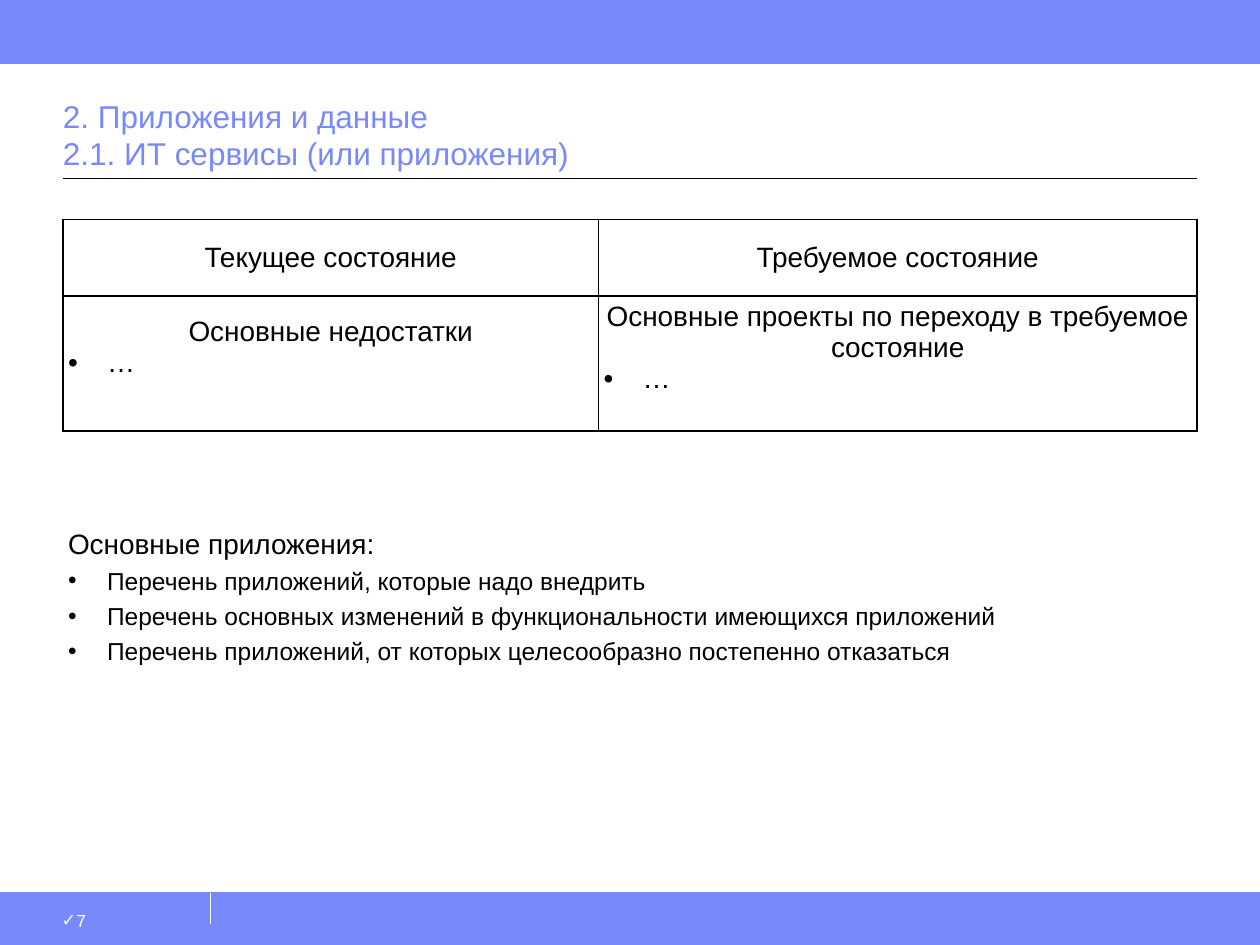
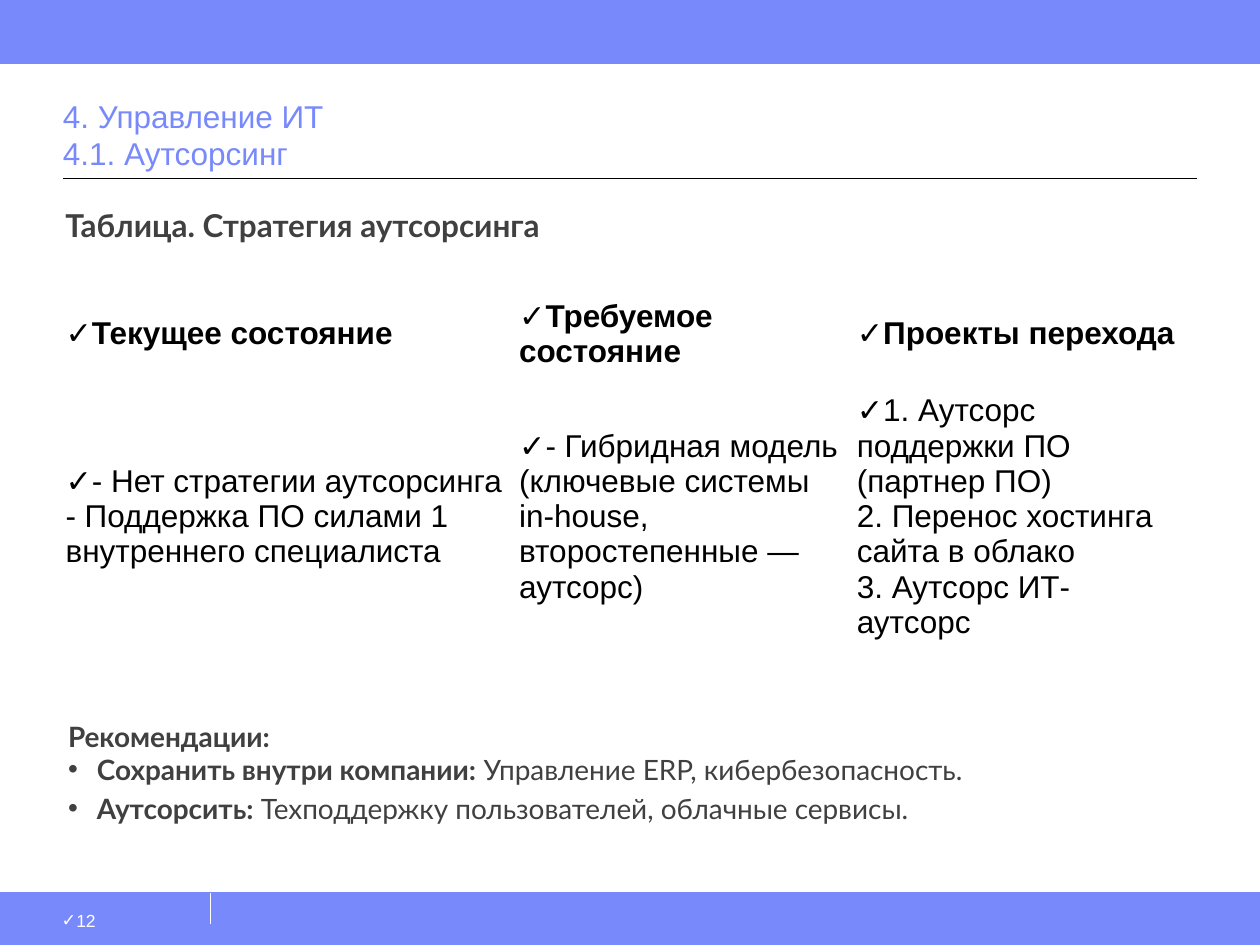
from dataclasses import dataclass
from typing import Optional

from lxml.etree import SubElement
from pptx import Presentation
from pptx.dml.color import RGBColor
from pptx.enum.shapes import MSO_CONNECTOR, MSO_SHAPE
from pptx.enum.text import MSO_ANCHOR, MSO_AUTO_SIZE, PP_ALIGN
from pptx.oxml.ns import qn
from pptx.util import Emu, Inches, Pt

COLORS = {"accent": "7889FB", "paper": "FFFFFF", "ink": "000000", "soft": "404040"}
SLIDE_W, SLIDE_H = Inches(10), Inches(7.5)
COLUMNS, ROWS = 20, 18
MARGIN, CONTENT = 1, 18  # in grid columns
FOOTER_ROW = 17
RULE_ROW = 3.4
TIGHT = (0.04, 0.04, 0.04, 0.04)


@dataclass(frozen=True)
class Style:
    size: float
    font: str = "Arial"
    color: str = "ink"


@dataclass(frozen=True)
class Area:
    """A place on the grid, in columns and rows."""
    col: float
    row: float
    cols: float
    rows: float

    def box(self) -> tuple:
        return across(self.col), down(self.row), across(self.cols), down(self.rows)


@dataclass(frozen=True)
class Span:
    text: str
    bold: bool = False


@dataclass(frozen=True)
class Para:
    spans: tuple
    style: Style
    bullet: str = ""
    indent: float = 0  # inches
    align: Optional[PP_ALIGN] = None
    leading: Optional[float] = None
    before: float = 0


@dataclass(frozen=True)
class Cell:
    paras: list
    insets: tuple


@dataclass(frozen=True)
class Rule:
    start: tuple
    end: tuple
    color: str
    width: float


TITLE = Style(18, color="accent")
PAGE = Style(10, color="paper")
BODY = Style(16)
LIST = Style(14)
STRATEGY = Style(18)
CAPTION = Style(18, "Lato", "soft")
ADVICE = Style(16, "Lato", "soft")

BANDS = (Area(0, FOOTER_ROW, COLUMNS, 1), Area(0, 0, COLUMNS, 1.2))
RULES = (
    Rule((3.34, 17.6), (3.34, FOOTER_ROW), "paper", 0.75),
    Rule((0, 1), (COLUMNS, 1), "accent", 0.5),
    Rule((0, FOOTER_ROW), (COLUMNS, FOOTER_ROW), "accent", 0.5),
    Rule((MARGIN, RULE_ROW), (MARGIN + CONTENT, RULE_ROW), "ink", 0.75),
)


def across(cols: float) -> Emu:
    return Emu(round(SLIDE_W * cols / COLUMNS))


def down(rows: float) -> Emu:
    return Emu(round(SLIDE_H * rows / ROWS))


def rgb(name: str) -> RGBColor:
    return RGBColor.from_string(COLORS[name])


def plain(text: str, style: Style, **options) -> Para:
    return Para((Span(text),), style, **options)


# Text
def write(frame, paras: list) -> None:
    for number, para in enumerate(paras):
        line = frame.add_paragraph() if number else frame.paragraphs[0]
        if para.bullet:
            props = line._p.get_or_add_pPr()
            props.set("marL", str(Inches(para.indent)))
            props.set("indent", str(-Inches(para.indent)))
            SubElement(props, qn("a:buFont")).set("typeface", "Arial")
            SubElement(props, qn("a:buChar")).set("char", para.bullet)
        if para.align is not None:
            line.alignment = para.align
        if para.leading:
            line.line_spacing = para.leading
        if para.before:
            line.space_before = Pt(para.before)
        for span in para.spans:
            for part, text in enumerate(span.text.split("\n")):
                if part:
                    line.add_line_break()
                run = line.add_run()
                run.text = text
                run.font.size = Pt(para.style.size)
                run.font.name = para.style.font
                run.font.bold = span.bold
                run.font.color.rgb = rgb(para.style.color)


def set_insets(target, insets: tuple) -> None:
    (target.margin_left, target.margin_top,
     target.margin_right, target.margin_bottom) = map(Inches, insets)


def add_text(slide, area: Area, paras: list, insets: tuple = TIGHT,
             anchor: MSO_ANCHOR = MSO_ANCHOR.TOP, grow: bool = False) -> None:
    frame = slide.shapes.add_textbox(*area.box()).text_frame
    frame.word_wrap = True
    frame.vertical_anchor = anchor
    if grow:
        frame.auto_size = MSO_AUTO_SIZE.SHAPE_TO_FIT_TEXT
    set_insets(frame, insets)
    write(frame, paras)


# Lines, bands and tables
def add_rule(slide, rule: Rule) -> None:
    (x1, y1), (x2, y2) = rule.start, rule.end
    line = slide.shapes.add_connector(
        MSO_CONNECTOR.STRAIGHT, across(x1), down(y1), across(x2), down(y2))
    line.line.color.rgb = rgb(rule.color)
    line.line.width = Pt(rule.width)
    SubElement(line._element.spPr, qn("a:effectLst"))


def add_band(slide, area: Area) -> None:
    band = slide.shapes.add_shape(MSO_SHAPE.RECTANGLE, *area.box())
    band.shadow.inherit = False
    band.fill.solid()
    band.fill.fore_color.rgb = rgb("accent")
    band.line.color.rgb = rgb("accent")
    band.line.width = Pt(0.75)


def add_borders(cell, color: str, width: float) -> None:
    props = cell._tc.get_or_add_tcPr()
    for side in ("lnL", "lnR", "lnT", "lnB"):
        edge = SubElement(props, qn(f"a:{side}"), w=str(Pt(width)))
        fill = SubElement(edge, qn("a:solidFill"))
        SubElement(fill, qn("a:srgbClr"), val=COLORS[color])


def add_grid(slide, col: float, row: float, widths: tuple, heights: tuple,
             cells: list, bordered: bool = False) -> None:
    area = Area(col, row, sum(widths), sum(heights))
    table = slide.shapes.add_table(len(heights), len(widths), *area.box()).table
    table.first_row = table.horz_banding = False
    for column, width in zip(table.columns, widths):
        column.width = across(width)
    for table_row, height in zip(table.rows, heights):
        table_row.height = down(height)
    for target, content in zip(table.iter_cells(), cells):
        if bordered:
            add_borders(target, "ink", 1)
        target.fill.solid()
        target.fill.fore_color.rgb = rgb("paper")
        target.vertical_anchor = MSO_ANCHOR.MIDDLE
        set_insets(target, content.insets)
        write(target.text_frame, content.paras)


# What every slide shares
def add_base(deck, page: str, title: tuple):
    slide = deck.slides.add_slide(deck.slide_layouts[6])
    for band in BANDS:
        add_band(slide, band)
    for rule in RULES:
        add_rule(slide, rule)
    add_text(slide, Area(0.66, 17.16, 2.66, 0.84), [plain(page, PAGE, bullet="✓")],
             (0.16, 0.07, 0.1, 0.05))
    add_text(slide, Area(MARGIN, 1.2, CONTENT, RULE_ROW - 1.2),
             [plain(line, TITLE) for line in title], (0, 0.05, 0, 0.05),
             MSO_ANCHOR.BOTTOM)
    return slide


def build_applications(deck) -> None:
    slide = add_base(deck, "7", ("2. Приложения и данные",
                                 "2.1. ИТ сервисы (или приложения)"))
    # Current and required state
    states = [Cell([plain(text, BODY, align=PP_ALIGN.CENTER)], (0.04, 0, 0.04, 0))
              for text in ("Текущее состояние", "Требуемое состояние")]
    details = [Cell([plain(text, BODY, align=PP_ALIGN.CENTER),
                     plain("…", BODY, bullet="•", indent=0.31)],
                    (0.04, 0, 0.04, 0.25))
               for text in ("Основные недостатки",
                            "Основные проекты по переходу в требуемое состояние")]
    add_grid(slide, MARGIN, 4.18, (8.5, 9.5), (1.46, 2.57), states + details,
             bordered=True)
    # List of applications
    applications = (
        "Перечень приложений, которые надо внедрить",
        "Перечень основных изменений в функциональности имеющихся приложений",
        "Перечень приложений, от которых целесообразно постепенно отказаться",
    )
    add_text(slide, Area(MARGIN, 9.8, CONTENT, 5.6),
             [plain("Основные приложения:", BODY, leading=1.2)]
             + [plain(text, LIST, bullet="•", indent=0.31, leading=1.2)
                for text in applications])


def build_outsourcing(deck) -> None:
    slide = add_base(deck, "12", ("4. Управление ИТ", "4.1. Аутсорсинг"))
    # Recommendations
    advice = (
        ("Сохранить внутри компании:", " Управление ERP, кибербезопасность."),
        ("Аутсорсить:", " Техподдержку пользователей, облачные сервисы."),
    )
    add_text(slide, Area(MARGIN, 13.6, CONTENT, 2.8),
             [Para((Span("Рекомендации:", True),), ADVICE)]
             + [Para((Span(lead, True), Span(rest)), ADVICE, "•", 0.23,
                     before=3 * number)
                for number, (lead, rest) in enumerate(advice)])
    # Outsourcing strategy
    strategy = (
        ("Текущее состояние", "Требуемое состояние", "Проекты перехода"),
        ("- Нет стратегии аутсорсинга\n- Поддержка ПО силами 1 внутреннего специалиста",
         "- Гибридная модель (ключевые системы in-house, второстепенные — аутсорс)",
         "1. Аутсорс поддержки ПО (партнер ПО)\n2. Перенос хостинга сайта в облако\n"
         "3. Аутсорс ИТ-аутсорс"),
    )
    cells = [Cell([Para((Span(text, level == 0),), STRATEGY, "✓")],
                  (0.05 if column else 0.1, 0.05, 0.05, 0.05))
             for level, texts in enumerate(strategy)
             for column, text in enumerate(texts)]
    add_grid(slide, 0.84, 5.52, (7.3, 5.36, 5.36), (1.2, 3.26), cells)
    add_text(slide, Area(0.84, 3.8, 10, 0.96),
             [Para((Span("Таблица. Стратегия аутсорсинга", True),), CAPTION)],
             (0.1, 0.05, 0.1, 0.05), grow=True)


def main() -> None:
    deck = Presentation()
    deck.slide_width, deck.slide_height = SLIDE_W, SLIDE_H
    build_applications(deck)
    build_outsourcing(deck)
    deck.save("out.pptx")


if __name__ == "__main__":
    main()
